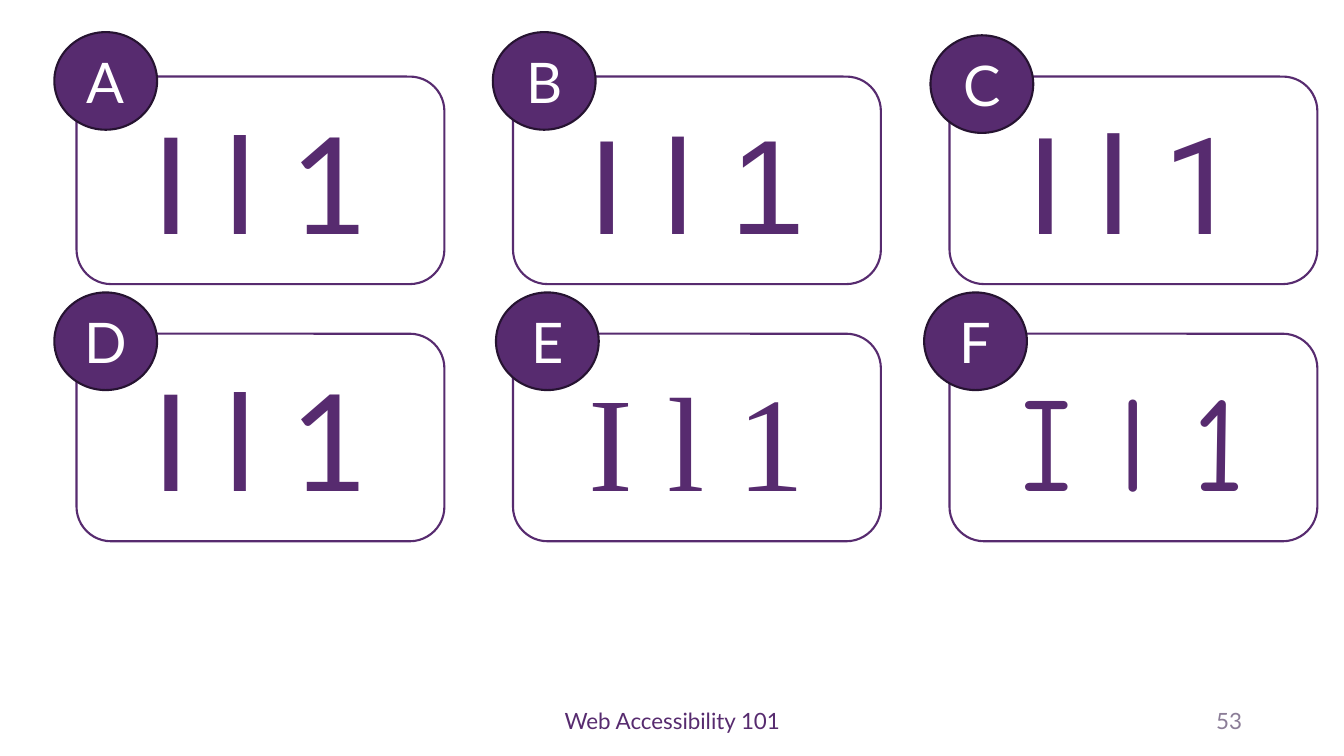
import dataclasses

import pptx
import pptx.dml.color
import pptx.enum.shapes
import pptx.enum.text
import pptx.util

Cm = pptx.util.Cm
Align = pptx.enum.text.PP_ALIGN
Preset = pptx.enum.shapes.MSO_SHAPE


@dataclasses.dataclass(frozen=True)
class Theme:
    """Colours, type sizes and the base font of the slide."""
    purple: str = "572B6F"
    dark: str = "261331"
    muted: str = "8B7D97"
    white: str = "FFFFFF"
    font: str = "Lato"
    sample_size: int = 96
    badge_size: int = 40
    footer_size: int = 16
    outline: float = 1.5


THEME = Theme()


def rgb(value):
    """Turn a hex string into a colour."""
    return pptx.dml.color.RGBColor.from_string(value)


def apply(target, values):
    """Set every attribute listed in a dict of format values."""
    for name, value in values.items():
        setattr(target, name, value)


def write(shape, text, size, color, font=THEME.font, align=Align.CENTER):
    """Put one formatted line of text into a shape."""
    apply(shape.text_frame, {
        "text": text,
        "word_wrap": True,
        "vertical_anchor": pptx.enum.text.MSO_ANCHOR.MIDDLE,
    })
    line = shape.text_frame.paragraphs[0]
    line.alignment = align
    apply(line.runs[0].font, {"name": font, "size": pptx.util.Pt(size)})
    line.runs[0].font.color.rgb = rgb(color)


def outlined(shapes, preset, box, fill, edge):
    """Add a filled preset shape with an outline and no shadow."""
    shape = shapes.add_shape(preset, *box)
    shape.shadow.inherit = False
    shape.fill.solid()
    shape.fill.fore_color.rgb = rgb(fill)
    shape.line.color.rgb = rgb(edge)
    shape.line.width = pptx.util.Pt(THEME.outline)
    return shape


def font_card(shapes, box, letter, font, badge_shift):
    """Draw a sample card with its lettered badge over the top left corner."""
    left, top, _, _ = box
    card = outlined(shapes, Preset.ROUNDED_RECTANGLE, box, THEME.white, THEME.purple)
    write(card, "I l 1", THEME.sample_size, THEME.purple, font)
    shift_x, shift_y = badge_shift
    badge_box = (left + Cm(shift_x), top + Cm(shift_y), Cm(2.59), Cm(2.46))
    badge = outlined(shapes, Preset.OVAL, badge_box, THEME.purple, THEME.dark)
    write(badge, letter, THEME.badge_size, THEME.white)


def card_grid(slide, left, top):
    """Lay out the six font samples in two rows of three."""
    samples = [
        ("A", "Lato", (-0.56, -1.12)),
        ("B", "Arial", (-0.51, -1.12)),
        ("C", "Roboto", (-0.48, -1.04)),
        ("D", "Lato", (-0.56, -1.04)),
        ("E", "Times New Roman", (-0.43, -1.04)),
        ("F", "Comic Neue", (-0.64, -1.04)),
    ]
    grid = slide.shapes.add_group_shape()
    for index, (letter, font, badge_shift) in enumerate(samples):
        row, column = divmod(index, 3)
        box = (left + column * Cm(11), top + row * Cm(6.48), Cm(9.27), Cm(5.23))
        font_card(grid.shapes, box, letter, font, badge_shift)


def footer(slide, left, top):
    """Write the course name and the page number along the bottom."""
    height = Cm(1.02)
    course = slide.shapes.add_textbox(left, top, Cm(11.43), height)
    write(course, "Web Accessibility 101", THEME.footer_size, THEME.purple)
    page = slide.shapes.add_textbox(left + Cm(12.7), top, Cm(7.62), height)
    write(page, "53", THEME.footer_size, THEME.muted, align=Align.RIGHT)


def main():
    """Build and save the slide."""
    deck = pptx.Presentation()
    apply(deck, {"slide_width": Cm(33.87), "slide_height": Cm(19.05)})
    slide = deck.slides.add_slide(deck.slide_layouts[6])
    footer(slide, Cm(11.23), Cm(17.65))
    card_grid(slide, Cm(1.93), Cm(1.93))
    deck.save("out.pptx")


if __name__ == "__main__":
    main()
